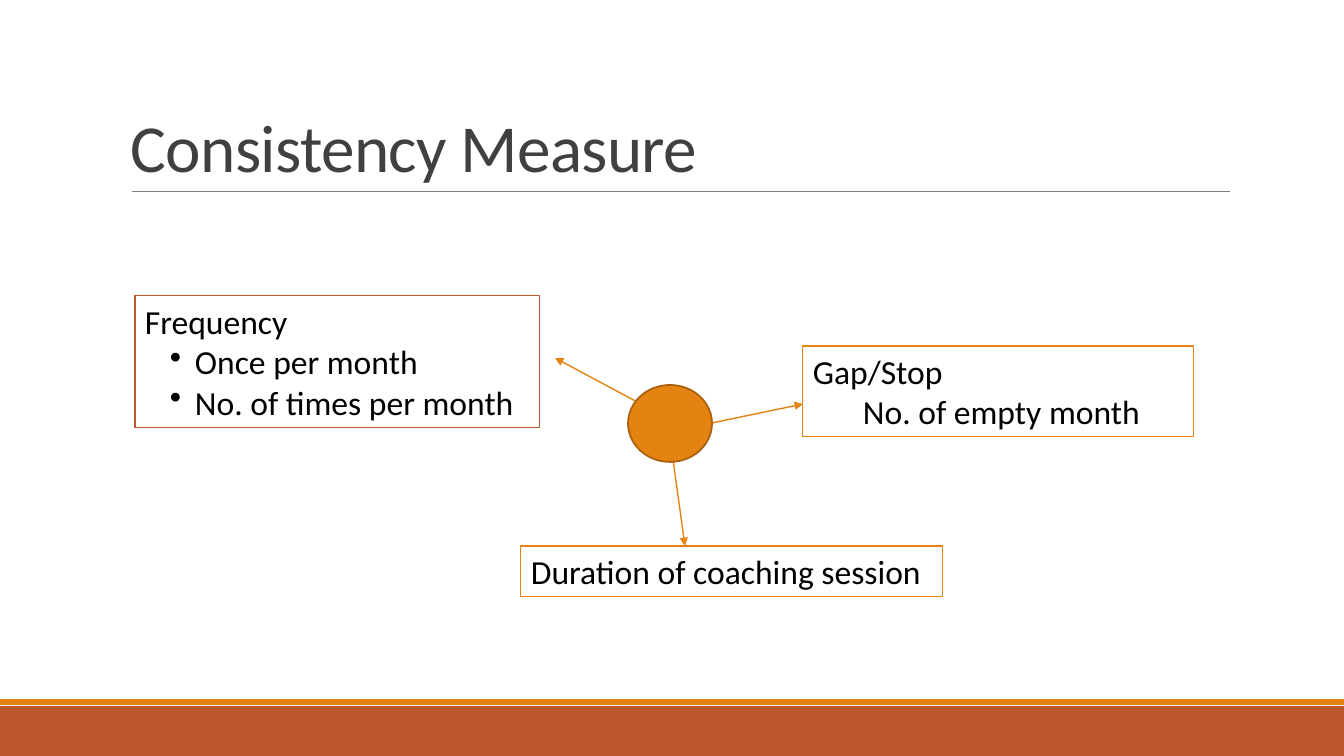
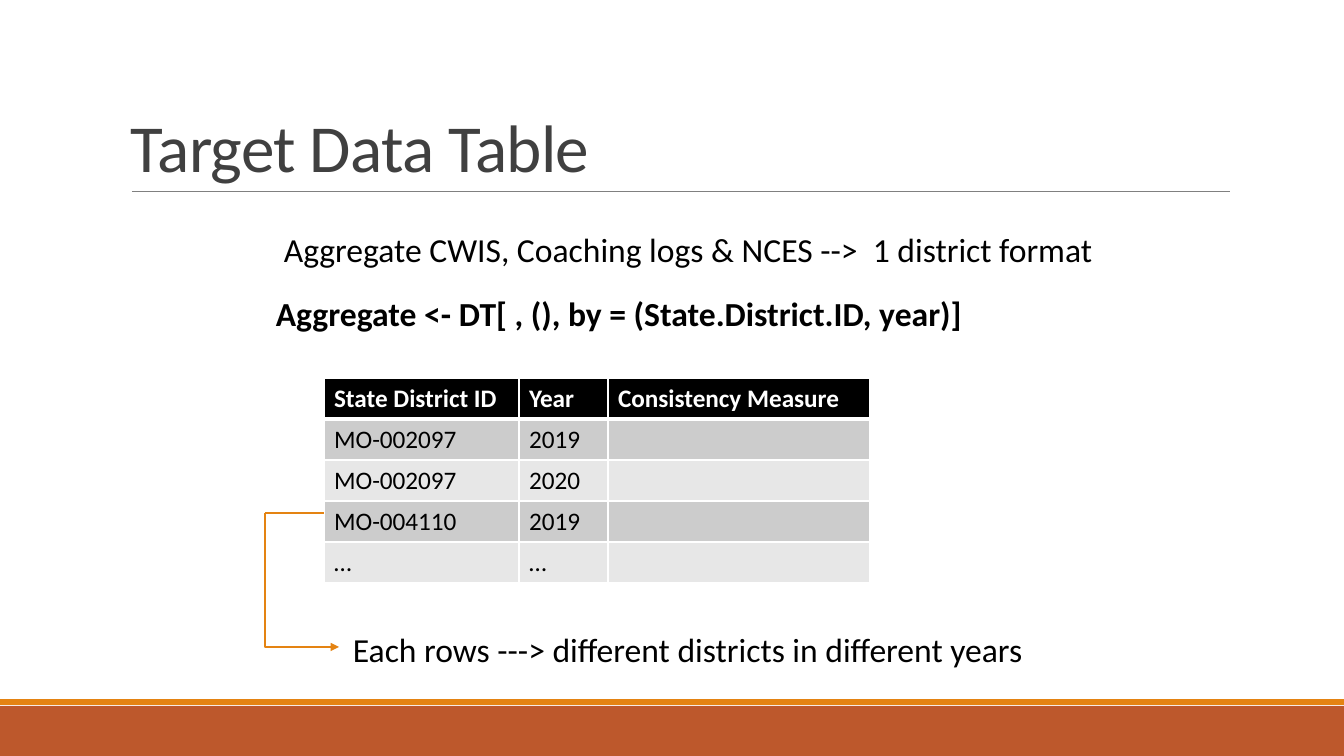
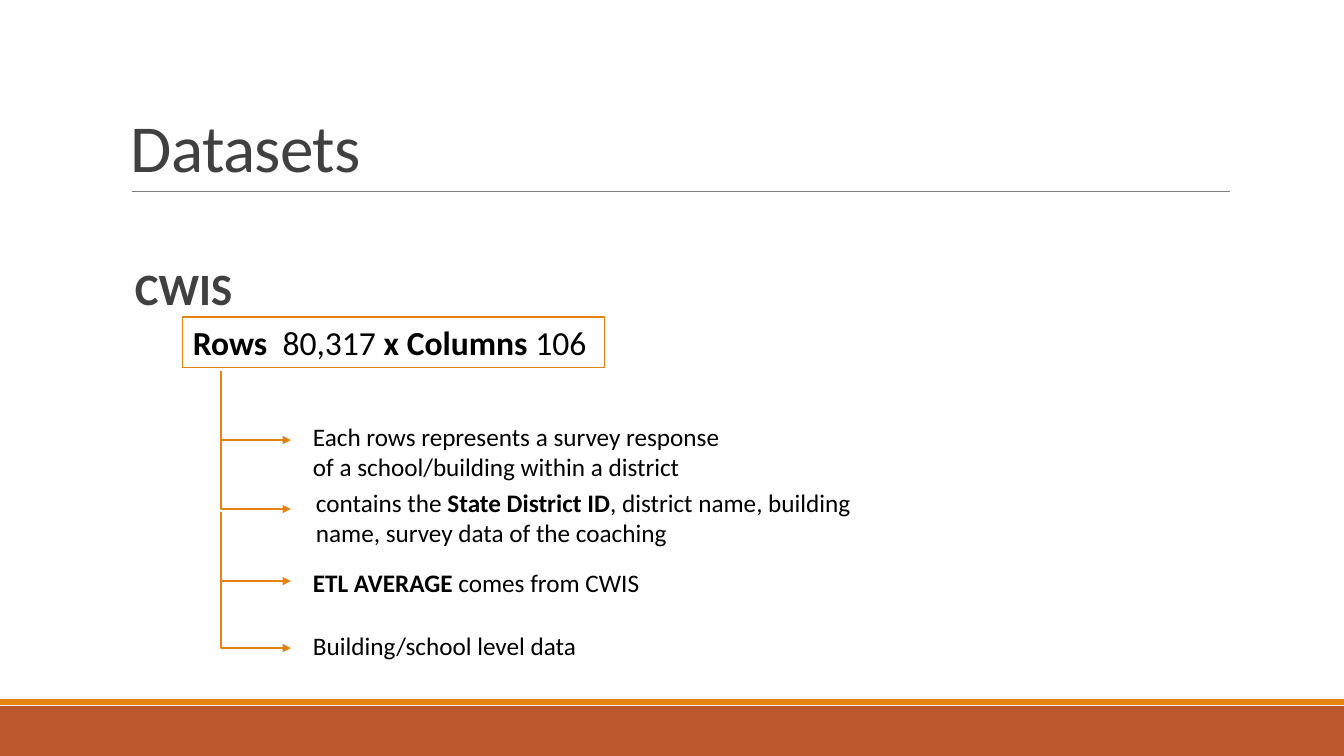
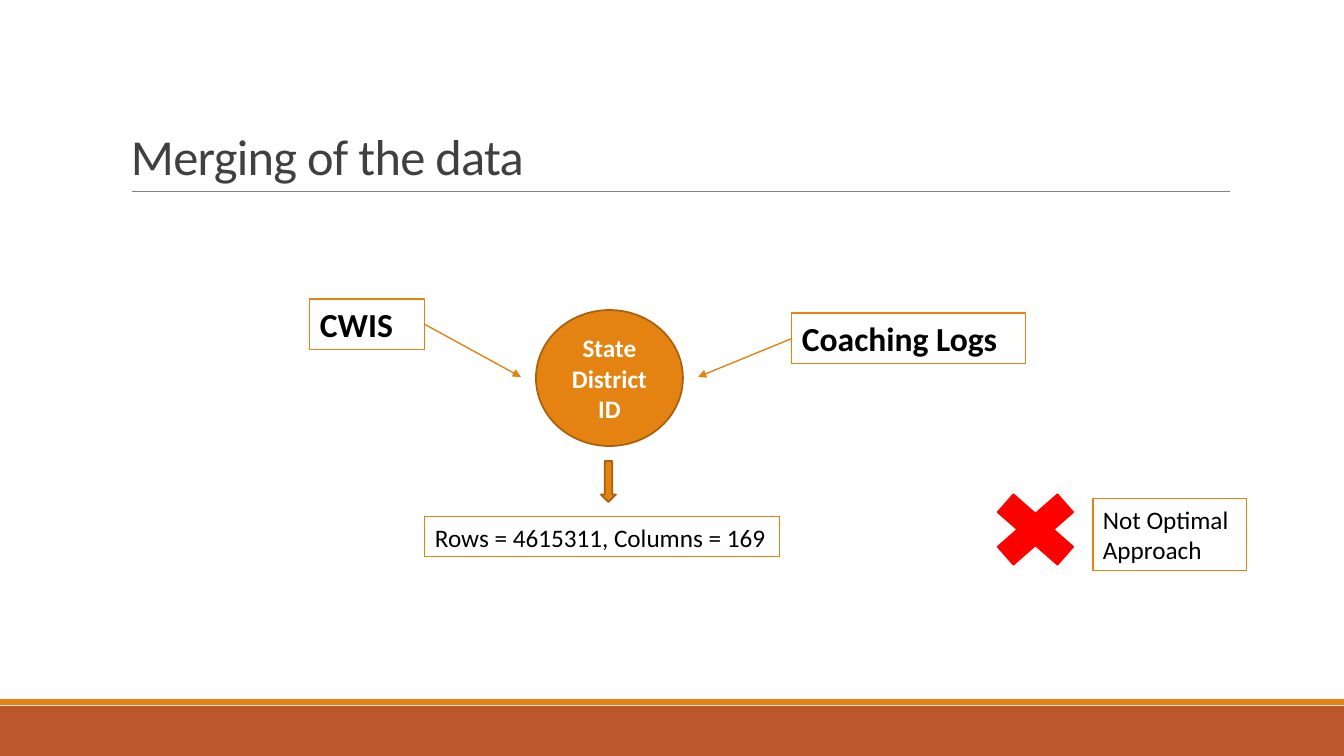
"""Build four slides on coaching consistency data and its sources."""
from lxml.etree import SubElement
from pptx import Presentation
from pptx.dml.color import RGBColor
from pptx.enum.shapes import MSO_CONNECTOR, MSO_SHAPE
from pptx.enum.text import MSO_ANCHOR, PP_ALIGN
from pptx.oxml.ns import qn
from pptx.util import Emu, Pt

EMU_PER_PX = 914400 / 100.8
FONT = "Calibri"
COLORS = {
    "rust": "BD582C",
    "orange": "E48312",
    "brown": "A9610D",
    "rule": "808080",
    "title": "404040",
    "ink": "000000",
    "paper": "FFFFFF",
    "dark_row": "CCCCCC",
    "light_row": "E7E7E7",
    "red": "FF0000",
}


def px(*lengths):
    return [Emu(round(length * EMU_PER_PX)) for length in lengths]


def rgb(name):
    return RGBColor.from_string(COLORS[name])


def write(frame, lines, size, color="ink", align=None):
    """Fill a text frame with lines, where ** marks switch bold on and off."""
    frame.word_wrap = True
    for number, line in enumerate(lines):
        paragraph = frame.add_paragraph() if number else frame.paragraphs[0]
        paragraph.alignment = align
        paragraph.font.name = FONT
        paragraph.font.size = Pt(size)
        paragraph.font.color.rgb = rgb(color)
        for part, words in enumerate(line.split("**")):
            if words:
                run = paragraph.add_run()
                run.text = words
                run.font.bold = part % 2 == 1


def add_text(slide, box, *lines, size=24, color="ink", border=None):
    label = slide.shapes.add_textbox(*px(*box))
    write(label.text_frame, lines, size, color)
    if border:
        label.line.color.rgb = rgb(border)
        label.line.width = Pt(0.75)
    return label


def indent(paragraph, bullet=None):
    properties = paragraph._p.get_or_add_pPr()
    properties.set("marL", str(px(50)[0]))
    properties.set("indent", str(-px(25)[0] if bullet else 0))
    if bullet:
        mark = SubElement(properties, qn("a:buChar"), char=bullet)
        properties.insert(0, mark)


def add_figure(slide, kind, box, fill, outline=None):
    figure = slide.shapes.add_shape(kind, *px(*box))
    figure.shadow.inherit = False
    figure.fill.solid()
    figure.fill.fore_color.rgb = rgb(fill)
    if outline:
        figure.line.color.rgb = rgb(outline)
        figure.line.width = Pt(1.25)
    else:
        figure.line.fill.background()
    return figure


def add_line(slide, start, end, color="orange", width=1, arrow=False, elbow=False):
    kind = MSO_CONNECTOR.ELBOW if elbow else MSO_CONNECTOR.STRAIGHT
    line = slide.shapes.add_connector(kind, *px(*start, *end))
    line.line.color.rgb = rgb(color)
    line.line.width = Pt(width)
    properties = line._element.spPr
    if arrow:
        SubElement(properties.find(qn("a:ln")), qn("a:tailEnd"), type="triangle")
    if elbow:
        guides = properties.find(qn("a:prstGeom")).find(qn("a:avLst"))
        SubElement(guides, qn("a:gd"), name="adj1", fmla="val 0")
    SubElement(properties, qn("a:effectLst"))
    return line


def add_arrow(slide, start, end, elbow=False):
    return add_line(slide, start, end, arrow=True, elbow=elbow)


def add_slide(deck, title, size=48):
    """Add a blank slide with the shared bands, rule and title."""
    slide = deck.slides.add_slide(deck.slide_layouts[6])
    add_figure(slide, MSO_SHAPE.RECTANGLE, (0, 706, 1344, 50), "rust")
    add_figure(slide, MSO_SHAPE.RECTANGLE, (0, 699, 1344, 6), "orange")
    add_line(slide, (132, 191), (1230, 191), "rule", 0.5)
    heading = add_text(slide, (121, 31, 1109, 160), title, size=size, color="title")
    heading.text_frame.vertical_anchor = MSO_ANCHOR.BOTTOM
    paragraph = heading.text_frame.paragraphs[0]
    paragraph.line_spacing = 0.85
    paragraph.runs[0]._r.get_or_add_rPr().set("spc", "-50")
    return slide


def style_cell(cell, fill, top, bottom):
    properties = cell._tc.get_or_add_tcPr()
    for side, width in (("L", 1), ("R", 1), ("T", top), ("B", bottom)):
        border = SubElement(properties, qn(f"a:ln{side}"), w=str(Pt(width)))
        paint = SubElement(border, qn("a:solidFill"))
        SubElement(paint, qn("a:srgbClr"), val=COLORS["paper"])
    cell.fill.solid()
    cell.fill.fore_color.rgb = rgb(fill)


def add_grid(slide, left, top, widths, row_height, rows):
    size = px(left, top, sum(widths), row_height * len(rows))
    grid = slide.shapes.add_table(len(rows), len(widths), *size).table
    for column, width in zip(grid.columns, px(*widths)):
        column.width = width
    for r, texts in enumerate(rows):
        fill = ("dark_row" if r % 2 else "light_row") if r else "ink"
        for c, text in enumerate(texts):
            cell = grid.cell(r, c)
            style_cell(cell, fill, 3 if r == 1 else 1, 1 if r else 3)
            words = text if r else f"**{text}**"
            write(cell.text_frame, [words], 18, "ink" if r else "paper")


def build_consistency(deck):
    slide = add_slide(deck, "Consistency Measure")
    frequency = add_text(slide, (135, 296, 405, 132), "Frequency", "Once per month",
                         "No. of times per month", border="rust")
    for paragraph in frequency.text_frame.paragraphs[1:]:
        indent(paragraph, "•")
    gap = add_text(slide, (803, 346, 391, 91), "Gap/Stop", "No. of empty month",
                   border="orange")
    indent(gap.text_frame.paragraphs[1])
    add_text(slide, (521, 546, 422, 51), "Duration of coaching session", border="orange")
    add_arrow(slide, (712, 423), (803, 404))
    add_arrow(slide, (671, 445), (685, 546))
    add_arrow(slide, (641, 404), (555, 358))
    add_figure(slide, MSO_SHAPE.OVAL, (628, 385, 84, 77), "orange", "brown")


def build_target(deck):
    slide = add_slide(deck, "Target Data Table")
    add_grid(slide, 324, 378, (195, 89, 262), 41, [
        ("State District ID", "Year", "Consistency Measure"),
        ("MO-002097", "2019", ""),
        ("MO-002097", "2020", ""),
        ("MO-004110", "2019", ""),
        ("…", "…", ""),
    ])
    add_text(slide, (274, 224, 886, 51),
             "Aggregate CWIS, Coaching logs & NCES -->  1 district format")
    add_text(slide, (266, 288, 766, 51),
             "**Aggregate <- DT[ , (), by = (State.District.ID, year)]**")
    add_arrow(slide, (265, 513), (339, 647), elbow=True)
    add_line(slide, (265, 513), (324, 513))
    add_text(slide, (343, 624, 766, 51),
             "Each rows ---> different districts in different years")


def build_datasets(deck):
    slide = add_slide(deck, "Datasets")
    add_text(slide, (125, 256, 400, 64), "**CWIS**", size=32, color="title")
    add_text(slide, (183, 317, 422, 51), "**Rows  **80,317** x Columns **106",
             border="orange")
    facts = [
        (371, (303, 416, 438, 71),
         "Each rows represents a survey response of a school/building within a district"),
        (440, (306, 482, 577, 82),
         "contains the **State District ID**, district name, building name, "
         "survey data of the coaching"),
        (512, (303, 562, 438, 41), "**ETL AVERAGE **comes from CWIS"),
        (579, (303, 625, 438, 41), "Building/school level data"),
    ]
    for branch_top, box, fact in facts:
        add_arrow(slide, (221, branch_top), (291, branch_top + 69), elbow=True)
        add_text(slide, box, fact, size=18)


def build_merging(deck):
    slide = add_slide(deck, "Merging of the data", 36)
    cwis = add_text(slide, (310, 299, 115, 51), "**CWIS**", border="orange")
    logs = add_text(slide, (792, 313, 234, 51), "**Coaching Logs**", border="orange")
    add_arrow(slide, (792, 339), (698, 377)).begin_connect(logs, 1)
    add_arrow(slide, (425, 325), (521, 377)).begin_connect(cwis, 3)
    key = add_figure(slide, MSO_SHAPE.OVAL, (536, 310, 147, 136), "orange", "brown")
    key.text_frame.vertical_anchor = MSO_ANCHOR.MIDDLE
    write(key.text_frame, ["**State District ID**"], 18, "paper", PP_ALIGN.CENTER)
    add_figure(slide, MSO_SHAPE.DOWN_ARROW, (601, 461, 15, 41), "orange", "brown")
    add_text(slide, (425, 517, 355, 40), "Rows = 4615311, Columns = 169",
             size=18, border="orange")
    add_figure(slide, MSO_SHAPE.MATH_MULTIPLY, (978, 479, 115, 101), "red", "red")
    add_text(slide, (1093, 499, 154, 72), "Not Optimal", "Approach",
             size=18, border="orange")


def main():
    deck = Presentation()
    deck.slide_width, deck.slide_height = px(1344, 756)
    build_consistency(deck)
    build_target(deck)
    build_datasets(deck)
    build_merging(deck)
    deck.save("out.pptx")


if __name__ == "__main__":
    main()
